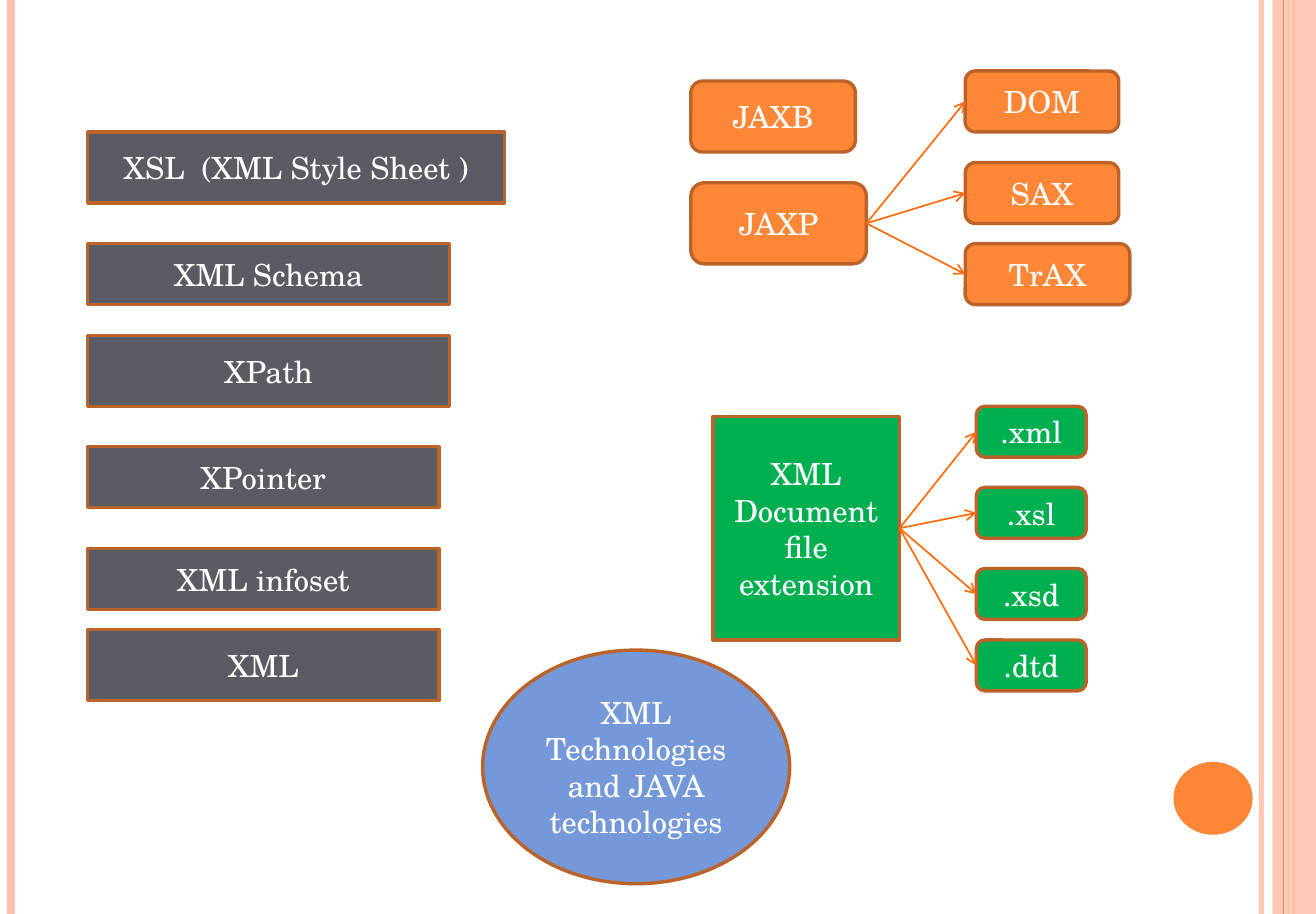
"""Build a slide mapping XML technologies to Java technologies."""
from lxml import etree
from pptx import Presentation
from pptx.dml.color import RGBColor
from pptx.enum import shapes as sh, text as tx
from pptx.oxml import ns
from pptx.util import Cm, Pt

HUES = {
    "pale": "FEC3AE", "orange": "FE8637", "arrow": "FF6B0A", "edge": "BC6329",
    "gray": "595D63", "green": "00B050", "blue": "7598D9", "white": "FFFFFF",
}
RECT = sh.MSO_SHAPE.RECTANGLE
ROUND = sh.MSO_SHAPE.ROUNDED_RECTANGLE
OVAL = sh.MSO_SHAPE.OVAL
LEFT, RIGHT = 1, 3

deck = Presentation()
deck.slide_width, deck.slide_height = Cm(27.43), Cm(19.05)
slide = deck.slides.add_slide(deck.slide_layouts[6])


def add_box(kind, spot, hue, label=""):
    box = slide.shapes.add_shape(kind, *[Cm(n) for n in spot])
    box.shadow.inherit = False
    box.fill.solid()
    box.fill.fore_color.rgb = RGBColor.from_string(HUES[hue])
    if not label:
        box.line.fill.background()
        return box
    box.line.color.rgb = RGBColor.from_string(HUES["edge"])
    box.line.width = Pt(2)
    frame = box.text_frame
    frame.word_wrap = True
    frame.vertical_anchor = tx.MSO_ANCHOR.MIDDLE
    para = frame.paragraphs[0]
    para.alignment = tx.PP_ALIGN.CENTER
    run = para.add_run()
    run.text = label
    run.font.name = "TeX Gyre Schola"
    run.font.size = Pt(18)
    run.font.color.rgb = RGBColor.from_string(HUES["white"])
    return box


def add_line(x, hue, width):
    line = slide.shapes.add_connector(
        sh.MSO_CONNECTOR.STRAIGHT, Cm(x), 0, Cm(x), deck.slide_height)
    etree.SubElement(line._element.spPr, ns.qn("a:effectLst"))
    line.line.color.rgb = RGBColor.from_string(HUES[hue])
    line.line.width = Pt(width)
    return line


edge = add_line(26.29, "pale", 3)
add_line(0.23, "pale", 4.5)
add_line(26.97, "orange", 1.5)
band = add_box(RECT, (26.52, 0, 0.91, 19.05), "pale")
add_line(26.75, "orange", 0.75)
add_box(OVAL, (24.46, 15.88, 1.65, 1.52), "orange")

for item, alpha in ((edge, 93), (band, 87)):
    tone = next(item._element.spPr.iter(ns.qn("a:srgbClr")))
    etree.SubElement(tone, ns.qn("a:alpha")).set("val", str(alpha * 1000))

for label, top, width, height in (
    ("XSL  (XML Style Sheet )", 2.75, 8.69, 1.48),
    ("XML Schema", 5.08, 7.54, 1.27),
    ("XPath", 6.99, 7.54, 1.48),
    ("XPointer", 9.31, 7.32, 1.27),
    ("XML infoset", 11.43, 7.32, 1.27),
    ("XML", 13.12, 7.32, 1.48),
):
    add_box(RECT, (1.83, top, width, height), "gray", label)

add_box(ROUND, (14.4, 1.69, 3.43, 1.48), "orange", "JAXB")
jaxp = add_box(ROUND, (14.4, 3.81, 3.66, 1.69), "orange", "JAXP")
add_box(OVAL, (10.06, 13.55, 6.4, 4.87), "blue",
        "XML Technologies and JAVA technologies")
files = add_box(RECT, (14.86, 8.68, 3.89, 4.66), "green",
                "XML Document file extension")

for hub, hue, left, height, leaves in (
    (jaxp, "orange", 20.12, 1.27,
     (("DOM", 1.48, 3.2), ("SAX", 3.39, 3.2), ("TrAX", 5.08, 3.43))),
    (files, "green", 20.35, 1.06,
     ((".xml", 8.47, 2.29), (".xsl", 10.16, 2.29),
      (".xsd", 11.85, 2.29), (".dtd", 13.34, 2.29))),
):
    for label, top, width in leaves:
        leaf = add_box(ROUND, (left, top, width, height), hue, label)
        link = add_line(left, "arrow", 1)
        link.begin_connect(hub, RIGHT)
        link.end_connect(leaf, LEFT)
        tail = etree.SubElement(link.line._get_or_add_ln(), ns.qn("a:tailEnd"))
        tail.set("type", "arrow")

deck.save("out.pptx")
